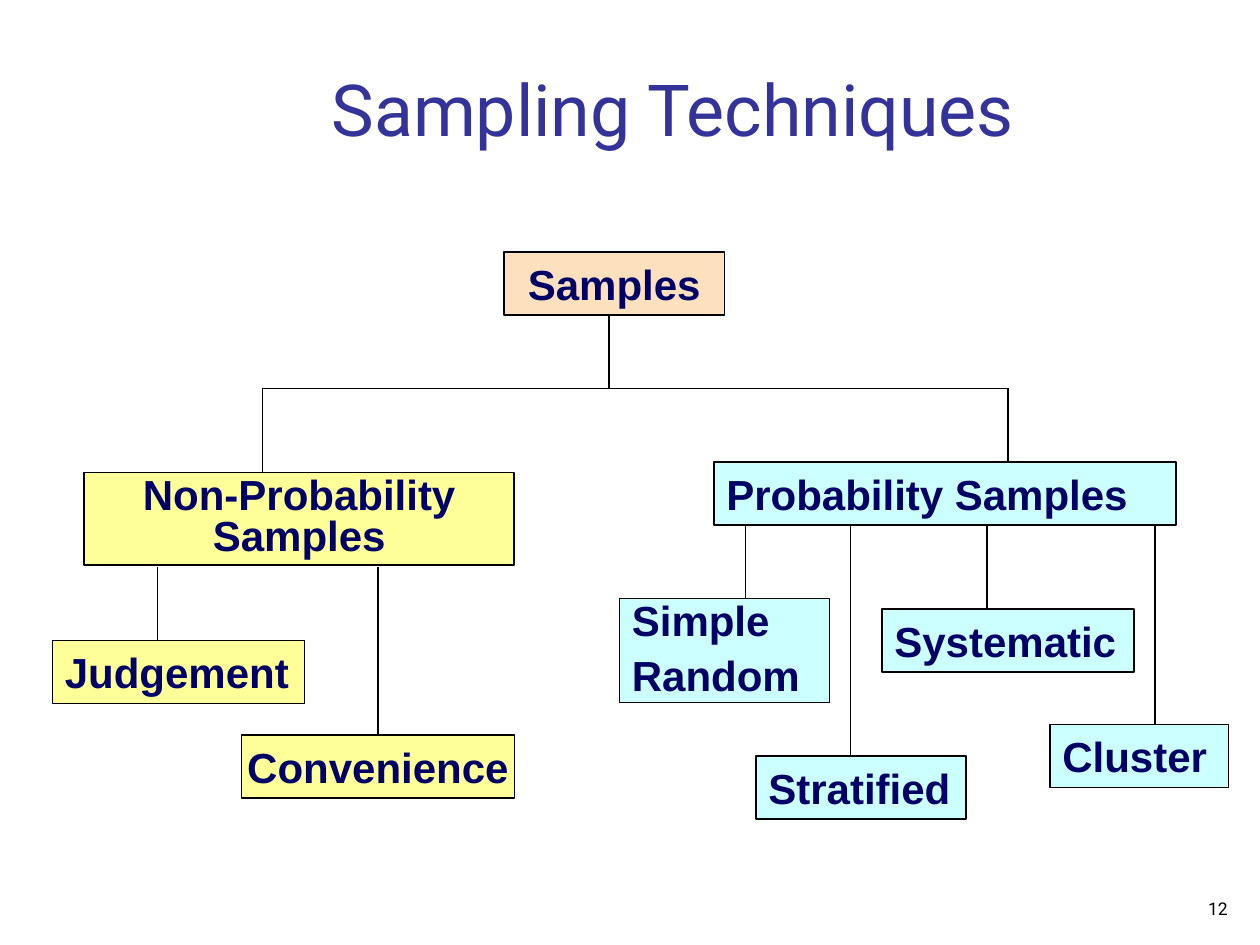
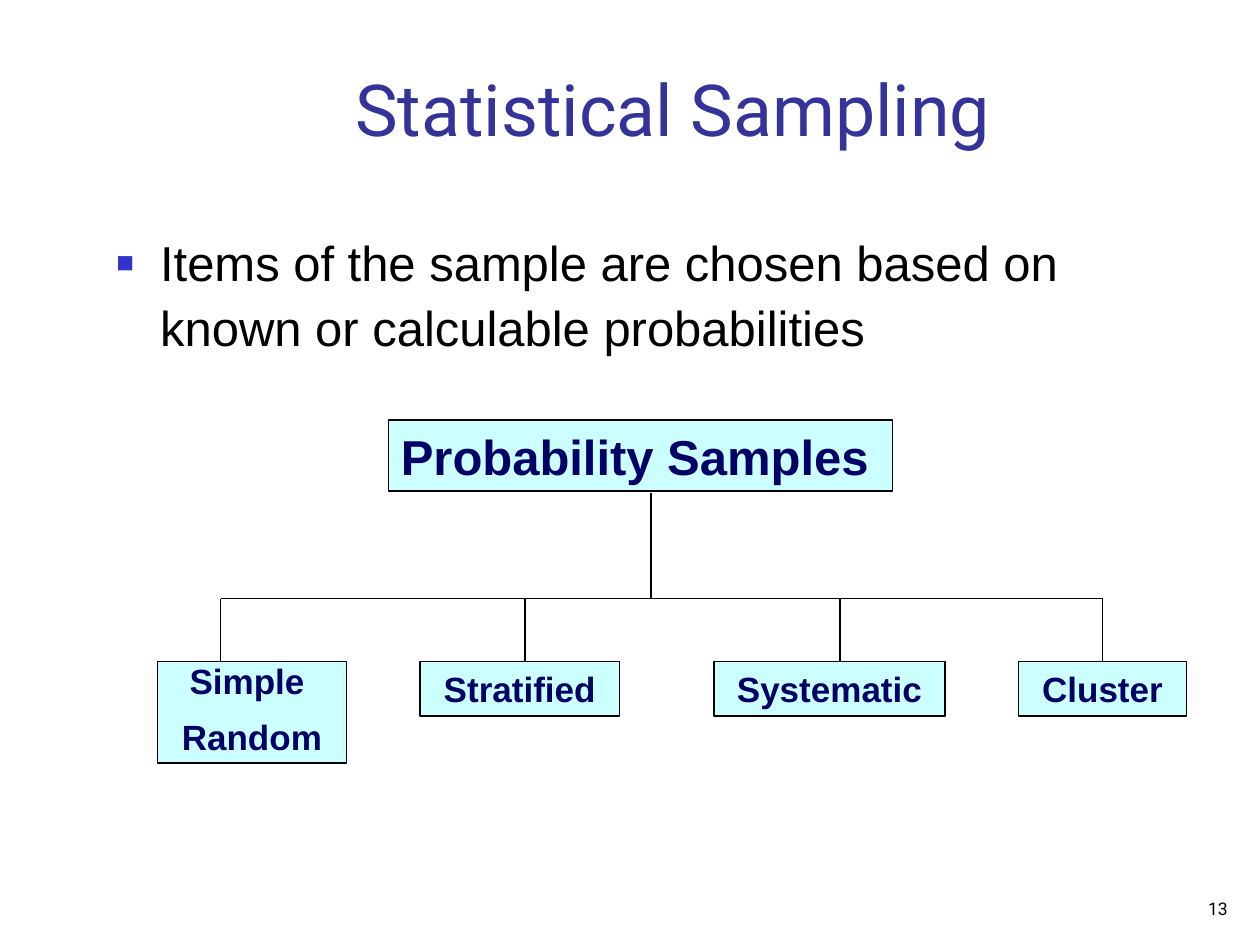
from lxml import etree
from pptx import Presentation
from pptx.dml.color import RGBColor
from pptx.enum.shapes import MSO_CONNECTOR, MSO_SHAPE
from pptx.enum.text import MSO_ANCHOR, MSO_AUTO_SIZE, PP_ALIGN
from pptx.oxml.ns import qn
from pptx.util import Pt

RECT, STRAIGHT = MSO_SHAPE.RECTANGLE, MSO_CONNECTOR.STRAIGHT
LEFT, CENTER, RIGHT = PP_ALIGN.LEFT, PP_ALIGN.CENTER, PP_ALIGN.RIGHT
TOP, MIDDLE, BOTTOM = MSO_ANCHOR.TOP, MSO_ANCHOR.MIDDLE, MSO_ANCHOR.BOTTOM
NO_FIT = MSO_AUTO_SIZE.NONE

BLACK, INDIGO, NAVY, BULLET_BLUE = "000000", "333399", "000066", "3333CC"
PEACH, YELLOW, CYAN = "FDE0BD", "FFFF99", "CCFFFF"
TITLE_ONLY = 5


def color(hex_value):
    return RGBColor.from_string(hex_value)


def write(frame, text, size=24, font="Arial", ink=NAVY, bold=False, align=LEFT,
          anchor=TOP, wrap=True, side=7.2, before=0, leading=(1,)):
    """Fill a text frame, one paragraph per line; leading holds one value per line."""
    frame.auto_size = NO_FIT
    frame.word_wrap = wrap
    frame.vertical_anchor = anchor
    frame.margin_left = frame.margin_right = Pt(side)
    frame.margin_top = frame.margin_bottom = Pt(3.6)
    frame.text = text
    for paragraph, spacing in zip(frame.paragraphs, leading):
        paragraph.alignment = align
        paragraph.line_spacing = spacing
        paragraph.space_before = Pt(before)
        style = paragraph.runs[0].font
        style.size, style.name, style.bold = Pt(size), font, bold
        style.color.rgb = color(ink)


class Deck:
    """Shared style and the current slide; all lengths are in points."""

    def __init__(self):
        self.prs = Presentation()
        self.prs.slide_width, self.prs.slide_height = Pt(720), Pt(540)
        self.slide = None

    def new_slide(self, title, number):
        layout = self.prs.slide_layouts[TITLE_ONLY]
        self.slide = self.prs.slides.add_slide(layout)
        heading = self.slide.shapes.title
        heading.left, heading.top, heading.width, heading.height = map(
            Pt, (78, 30, 613.5, 60))
        write(heading.text_frame, title, size=41, font="Roboto", ink=INDIGO,
              align=CENTER, anchor=BOTTOM, side=6.5)
        self.label(558, 504, 150, 24.5, str(number), size=10, font="Roboto",
                   ink=BLACK, align=RIGHT, anchor=BOTTOM, side=6.5)

    def label(self, left, top, width, height, text, **style):
        area = self.slide.shapes.add_textbox(*map(Pt, (left, top, width, height)))
        write(area.text_frame, text, **style)
        return area.text_frame

    def bullet(self, left, top, width, height, text):
        frame = self.label(left, top, width, height, text, size=28, ink=BLACK,
                           side=6.5, before=7, leading=(1.1,))
        props = frame.paragraphs[0]._p.get_or_add_pPr()
        props.set("marL", str(Pt(25)))
        props.set("indent", str(-Pt(25)))
        tint = etree.SubElement(props, qn("a:buClr"))
        etree.SubElement(tint, qn("a:srgbClr"), val=BULLET_BLUE)
        etree.SubElement(props, qn("a:buSzPct"), val="60000")
        etree.SubElement(props, qn("a:buFont"), typeface="Arial")
        etree.SubElement(props, qn("a:buChar"), char="■")

    def box(self, left, top, width, height, text, fill, size=24, **style):
        node = self.slide.shapes.add_shape(
            RECT, *map(Pt, (left, top, width, height)))
        node.shadow.inherit = False
        node.fill.solid()
        node.fill.fore_color.rgb = color(fill)
        node.line.color.rgb = color(BLACK)
        node.line.width = Pt(1)
        write(node.text_frame, text, size=size, bold=True,
              before=size * 0.625, **style)

    def line(self, x1, y1, x2, y2):
        link = self.slide.shapes.add_connector(
            STRAIGHT, *map(Pt, (x1, y1, x2, y2)))
        link.line.color.rgb = color(BLACK)
        link.line.width = Pt(1)
        etree.SubElement(link._element.spPr, qn("a:effectLst"))

    def drops(self, top, ends):
        """Vertical lines from one height, given as (x, bottom) pairs."""
        for x, bottom in ends:
            self.line(x, top, x, bottom)


def sampling_techniques(deck):
    deck.new_slide("Sampling Techniques", 12)

    # Branches
    deck.drops(180, [(348, 222)])
    deck.line(150, 222, 576, 222)
    deck.drops(222, [(150, 270), (576, 264)])
    deck.drops(324, [(90, 366), (216, 420)])
    deck.drops(294, [(426, 342), (486, 444), (564, 361), (660, 415)])

    # Root
    deck.box(288, 144, 126, 36, "Samples", PEACH, align=CENTER)

    # Non-probability side
    deck.box(48, 270, 246, 53, "Non-Probability Samples", YELLOW,
             align=CENTER, leading=(0.8,))
    deck.box(30, 366, 144, 36, "Judgement", YELLOW)
    deck.box(138, 420, 156, 36, "Convenience", YELLOW,
             align=CENTER, anchor=MIDDLE, wrap=False)

    # Probability side
    deck.box(408, 264, 264, 36, "Probability Samples", CYAN)
    deck.box(354, 342, 120, 59.5, "Simple\nRandom", CYAN, leading=(0.8, 0.5))
    for left, top, width, method in [(504, 348, 144, "Systematic"),
                                     (432, 432, 120, "Stratified"),
                                     (600, 414, 102, "Cluster")]:
        deck.box(left, top, width, 36, method, CYAN)


def statistical_sampling(deck):
    deck.new_slide("Statistical Sampling", 13)
    deck.bullet(60, 126, 636, 324, "Items of the sample are chosen based on "
                "known or calculable probabilities")

    # Branches
    deck.drops(282, [(372, 342)])
    deck.line(126, 342, 630, 342)
    deck.drops(342, [(x, 378) for x in (126, 300, 480, 630)])

    # Root and its four methods
    deck.box(222, 240, 288, 40.5, "Probability Samples", CYAN, size=28)
    deck.box(90, 378, 108, 58, "Simple \nRandom", CYAN, size=20,
             align=CENTER, leading=(0.8, 0.8))
    for left, width, method in [(240, 114, "Stratified"),
                                (408, 132, "Systematic"),
                                (582, 96, "Cluster")]:
        deck.box(left, 378, width, 31, method, CYAN, size=20, align=CENTER)


def main():
    deck = Deck()
    sampling_techniques(deck)
    statistical_sampling(deck)
    deck.prs.save("out.pptx")


if __name__ == "__main__":
    main()
